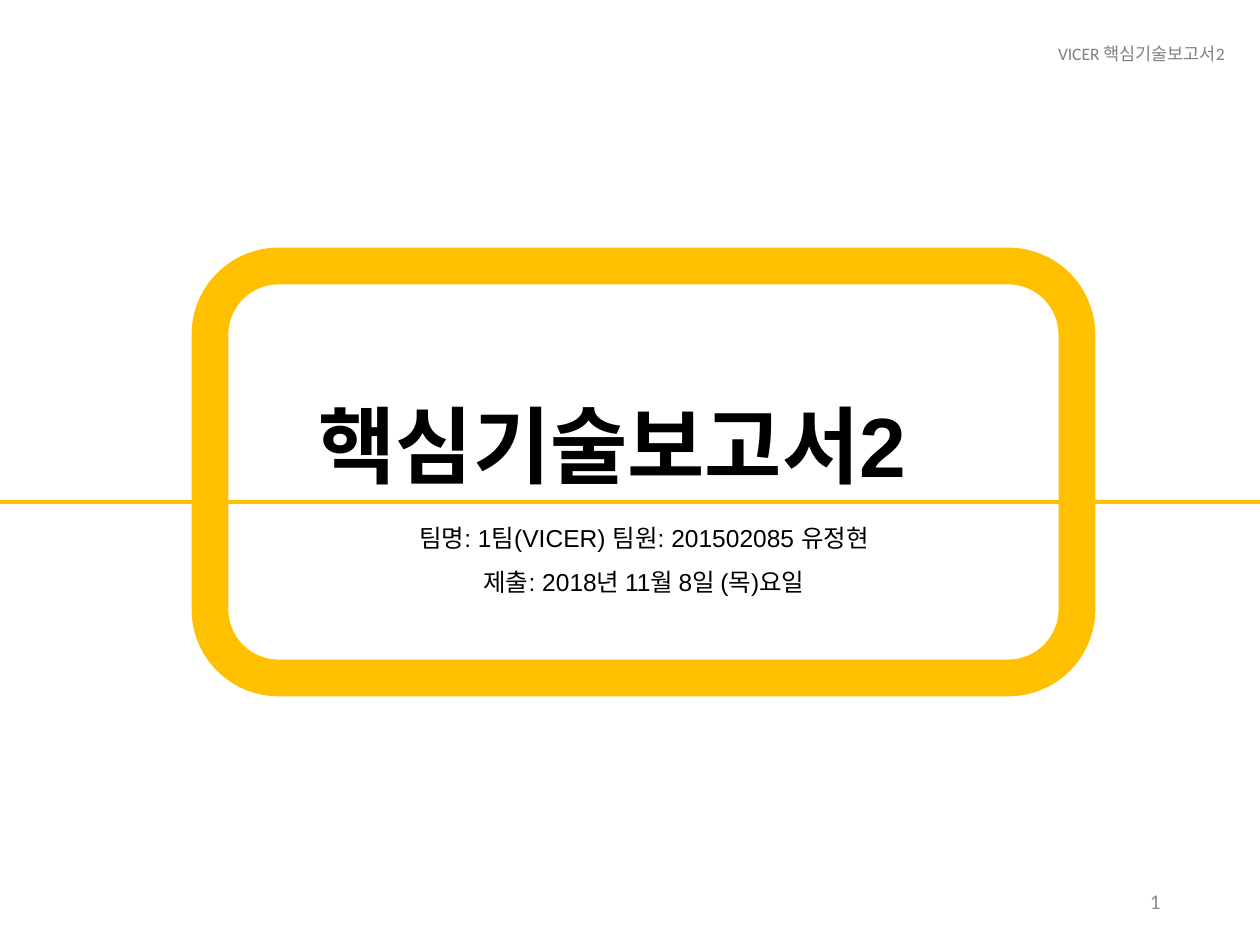
from pptx import Presentation
from pptx.dml.color import RGBColor
from pptx.enum.shapes import MSO_CONNECTOR as Conn, MSO_SHAPE as Shape
from pptx.enum.text import MSO_ANCHOR as Anchor, MSO_AUTO_SIZE as Auto, PP_ALIGN as Align
from pptx.oxml.ns import qn
from pptx.util import Emu, Pt

# Content
TITLE = "핵심기술보고서2"
TEAM = ["팀명: 1팀(VICER) 팀원: 201502085 유정현", "제출: 2018년 11월 8일 (목)요일"]
HEAD = "VICER 핵심기술보고서2"
PAGE = "1"

# Look and places: left, top, width, height in px
COLORS = {"gold": "FFC000", "ink": "000000", "head": "808080", "page": "8C8C8C"}
WIDE, HIGH = 1260, 945
BOX = {
    "title": (306, 334, 675, 168),
    "team": (357, 520, 574, 104),
    "frame": (210, 266, 867, 412),
    "head": (772, 37, 465, 34),
    "page": (890, 876, 283, 50),
}
RULE_Y = 502


def px(n):
    return Emu(n * 914400 // 126)


def color(name):
    return RGBColor.from_string(COLORS[name])


def place(shape, box):
    shape.left, shape.top, shape.width, shape.height = map(px, box)


def write(shape, lines, size, ink="ink", font="Arial", bold=False,
          align=Align.LEFT, anchor=Anchor.TOP, spacing=1.0, before=0):
    frame = shape.text_frame
    frame.word_wrap = True
    frame.auto_size = Auto.NONE
    frame.vertical_anchor = anchor
    for i, line in enumerate(lines):
        para = frame.paragraphs[0] if i == 0 else frame.add_paragraph()
        para.alignment = align
        para.line_spacing = spacing
        para.space_before = Pt(before)
        run = para.add_run()
        run.text = line
        run.font.name = font
        run.font.size = Pt(size)
        run.font.bold = bold
        run.font.color.rgb = color(ink)


deck = Presentation()
deck.slide_width, deck.slide_height = px(WIDE), px(HIGH)
slide = deck.slides.add_slide(deck.slide_layouts[5])
shapes = slide.shapes

# Title and team
title = shapes.title
place(title, BOX["title"])
write(title, [TITLE], 48, bold=True, anchor=Anchor.BOTTOM, spacing=0.9)
team = shapes.add_textbox(*map(px, BOX["team"]))
write(team, TEAM, 14, align=Align.CENTER, spacing=0.9, before=10)

# Rule across the slide
rule = shapes.add_connector(Conn.STRAIGHT, 0, px(RULE_Y), px(WIDE), px(RULE_Y))
rule.line.color.rgb = color("gold")
rule.line.width = Pt(2.25)
props = rule._element.spPr
props.append(props.makeelement(qn("a:effectLst"), {}))

# Rounded frame
frame = shapes.add_shape(Shape.ROUNDED_RECTANGLE, *map(px, BOX["frame"]))
frame.shadow.inherit = False
frame.fill.background()
frame.line.color.rgb = color("gold")
frame.line.width = Pt(21)

# Header and page number
head = shapes.add_textbox(*map(px, BOX["head"]))
write(head, [HEAD], 10, ink="head", font="Calibri", align=Align.RIGHT)
page = shapes.add_textbox(*map(px, BOX["page"]))
write(page, [PAGE], 12, ink="page", font="Calibri", align=Align.RIGHT, anchor=Anchor.MIDDLE)

deck.save("out.pptx")
